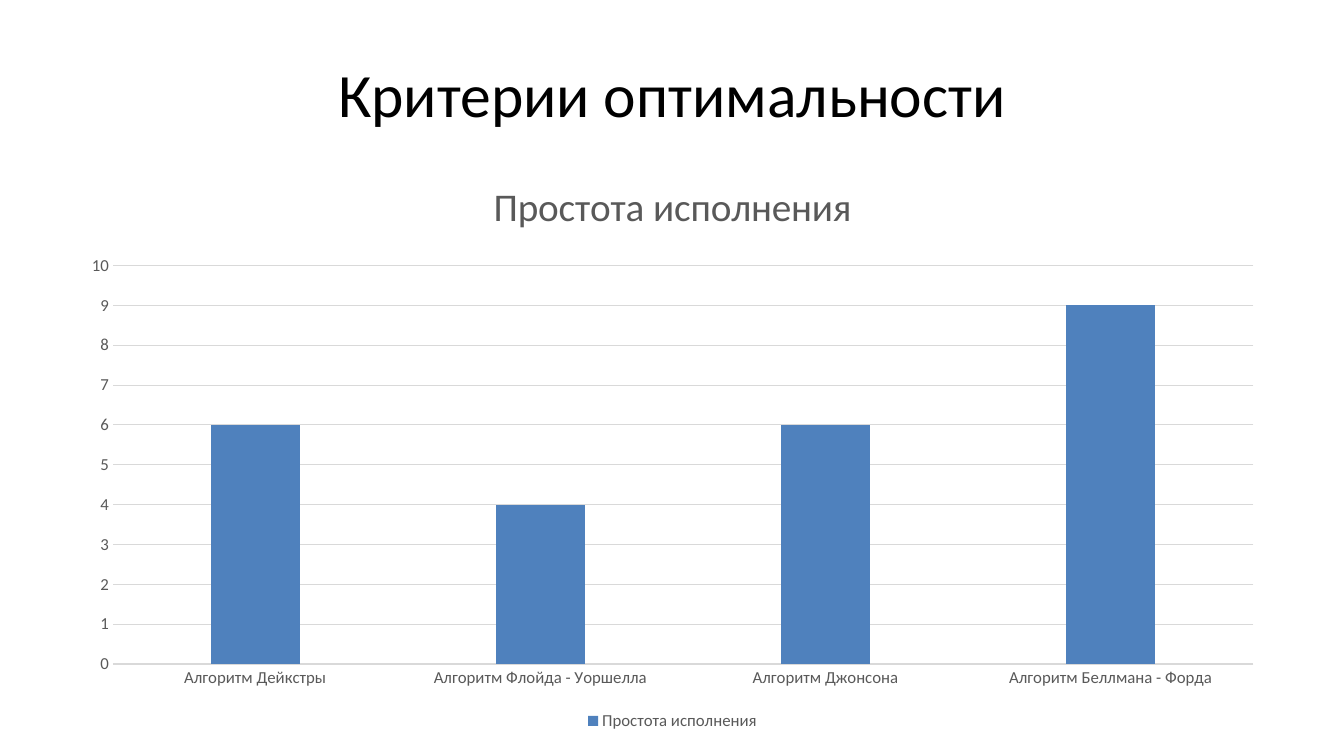
import pptx
import pptx.chart.data
import pptx.dml.color
import pptx.enum.chart
import pptx.enum.text
import pptx.util

Inches = pptx.util.Inches
Pt = pptx.util.Pt


def colour(code):
    return pptx.dml.color.RGBColor.from_string(code)


class SlideBuilder:
    face = "Calibri"
    ink = "000000"
    grey = "595959"
    rule = "D9D9D9"
    bar = "4F81BD"

    def __init__(self, deck):
        self.page = deck.slides.add_slide(deck.slide_layouts[5])

    def style_font(self, font, size, code):
        font.name = self.face
        font.size = Pt(size)
        font.bold = False
        font.color.rgb = colour(code)

    def style_line(self, line):
        line.color.rgb = colour(self.rule)
        line.width = Pt(0.75)

    def style_axis(self, axis):
        axis.major_tick_mark = pptx.enum.chart.XL_TICK_MARK.NONE
        axis.minor_tick_mark = pptx.enum.chart.XL_TICK_MARK.NONE
        self.style_font(axis.tick_labels.font, 12, self.grey)

    def add_title(self, text, left, top, width, height):
        box = self.page.shapes.title
        box.left, box.top = Inches(left), Inches(top)
        box.width, box.height = Inches(width), Inches(height)
        frame = box.text_frame
        frame.text = text
        frame.vertical_anchor = pptx.enum.text.MSO_ANCHOR.MIDDLE
        para = frame.paragraphs[0]
        para.alignment = pptx.enum.text.PP_ALIGN.CENTER
        self.style_font(para.runs[0].font, 44, self.ink)

    def add_column_chart(self, name, scores, left, top, width, height):
        data = pptx.chart.data.CategoryChartData()
        data.categories = list(scores)
        data.add_series(name, list(scores.values()))
        chart = self.page.shapes.add_chart(
            pptx.enum.chart.XL_CHART_TYPE.COLUMN_CLUSTERED,
            Inches(left), Inches(top), Inches(width), Inches(height), data,
        ).chart
        self.style_font(chart.font, 10, self.ink)

        chart.has_title = True
        chart.chart_title.include_in_layout = False
        heading = chart.chart_title.text_frame
        heading.text = name
        self.style_font(heading.paragraphs[0].runs[0].font, 28, self.grey)

        chart.has_legend = True
        chart.legend.position = pptx.enum.chart.XL_LEGEND_POSITION.BOTTOM
        chart.legend.include_in_layout = False
        self.style_font(chart.legend.font, 12, self.grey)

        self.style_axis(chart.category_axis)
        self.style_line(chart.category_axis.format.line)
        value_axis = chart.value_axis
        self.style_axis(value_axis)
        value_axis.format.line.fill.background()
        value_axis.minimum_scale = 0
        value_axis.maximum_scale = 10
        value_axis.major_unit = 1
        value_axis.has_major_gridlines = True
        self.style_line(value_axis.major_gridlines.format.line)

        plot = chart.plots[0]
        plot.vary_by_categories = False
        plot.gap_width = 219
        plot.overlap = -27
        fill = plot.series[0].format.fill
        fill.solid()
        fill.fore_color.rgb = colour(self.bar)


def main():
    deck = pptx.Presentation()
    deck.slide_width = Inches(13.33)
    deck.slide_height = Inches(7.5)
    slide = SlideBuilder(deck)
    slide.add_title("Критерии оптимальности", 0.67, 0.3, 12, 1.25)
    scores = {
        "Алгоритм Дейкстры": 6,
        "Алгоритм Флойда - Уоршелла": 4,
        "Алгоритм Джонсона": 6,
        "Алгоритм Беллмана - Форда": 9,
    }
    slide.add_column_chart("Простота исполнения", scores, 0.67, 1.55, 12, 5.74)
    deck.save("out.pptx")


if __name__ == "__main__":
    main()
